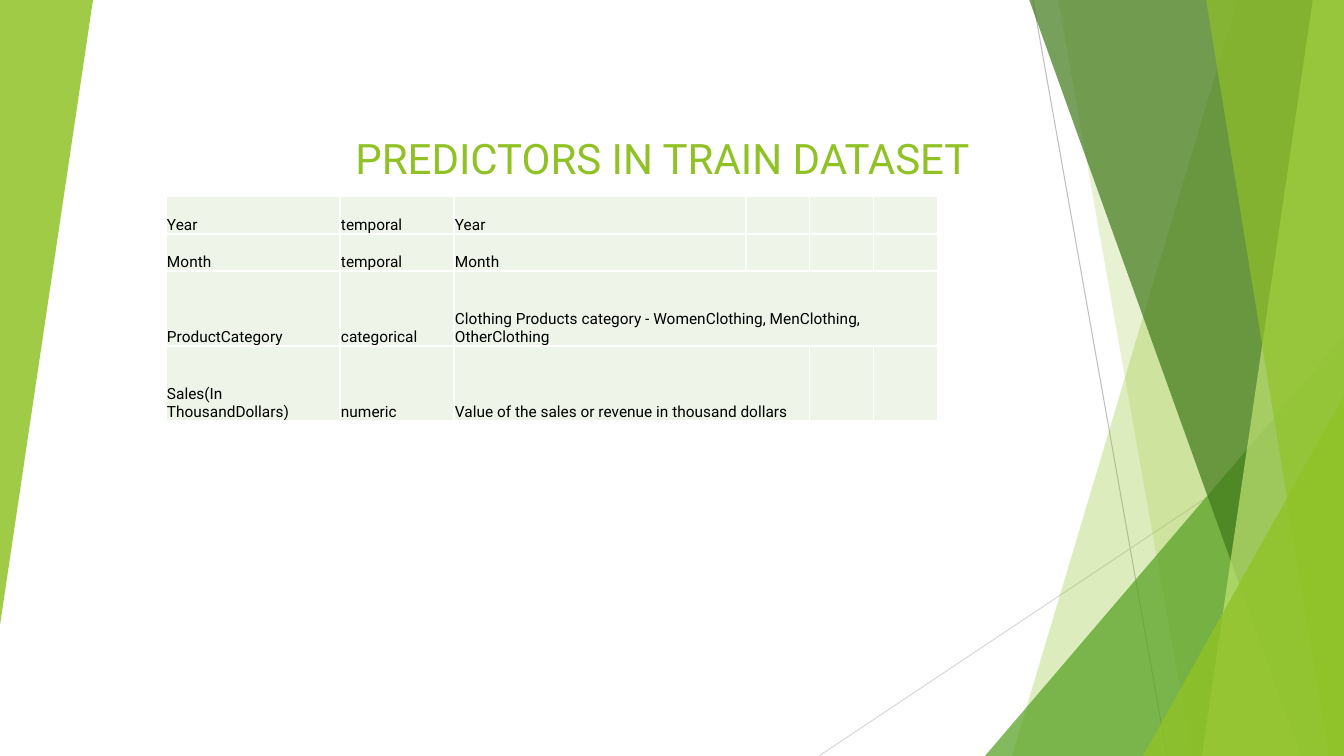
from pptx import Presentation
from pptx.dml.color import RGBColor
from pptx.enum.shapes import MSO_CONNECTOR, MSO_SHAPE
from pptx.enum.text import MSO_ANCHOR, PP_ALIGN
from pptx.oxml import parse_xml
from pptx.oxml.ns import nsdecls, qn
from pptx.oxml.xmlchemy import OxmlElement
from pptx.util import Emu, Pt

WIDTH, HEIGHT = 1344, 756
EMU_PER_PX = 914400 / 100.8

LIME = RGBColor(0x90, 0xC2, 0x26)
PALE_LIME = RGBColor(0xC0, 0xE4, 0x74)
GREEN = RGBColor(0x54, 0xA0, 0x21)
DARK_GREEN = RGBColor(0x3F, 0x78, 0x19)
GRAY = RGBColor(0xBF, 0xBF, 0xBF)
LIGHT_GRAY = RGBColor(0xD9, 0xD9, 0xD9)
CELL_FILL = RGBColor(0xEE, 0xF4, 0xE8)
BLACK = RGBColor(0, 0, 0)
WHITE = RGBColor(0xFF, 0xFF, 0xFF)

COLUMN_WIDTHS = [174, 114, 292, 64, 64, 64]
ROW_HEIGHTS = [38, 37, 75, 75]
PREDICTORS = [
    ("Year", "temporal", "Year"),
    ("Month", "temporal", "Month"),
    ("ProductCategory", "categorical",
     "Clothing Products category - WomenClothing, MenClothing, OtherClothing"),
    ("Sales(In ThousandDollars)", "numeric",
     "Value of the sales or revenue in thousand dollars"),
]
DESCRIPTION_SPANS = {2: 5, 3: 3}


def px(length):
    return Emu(round(length * EMU_PER_PX))


def apply_format(target, values):
    for name, value in values.items():
        setattr(target, name, value)


class SlideBuilder:
    font_name = "Roboto"
    cell_format = {
        "vertical_anchor": MSO_ANCHOR.BOTTOM,
        "margin_left": px(1),
        "margin_right": px(1),
        "margin_top": px(1),
        "margin_bottom": 0,
    }

    def __init__(self, slide):
        self.slide = slide
        self.shapes = slide.shapes

    def line(self, start, end, color):
        connector = self.shapes.add_connector(
            MSO_CONNECTOR.STRAIGHT, *map(px, start + end))
        connector.line.color.rgb = color
        connector.line.width = Pt(0.75)
        connector._element.spPr.append(OxmlElement("a:effectLst"))

    def paint(self, shape, color, opacity):
        shape.shadow.inherit = False
        shape.line.fill.background()
        shape.fill.solid()
        shape.fill.fore_color.rgb = color
        alpha = OxmlElement("a:alpha")
        alpha.set("val", str(opacity * 1000))
        shape._element.spPr.find(qn("a:solidFill"))[0].append(alpha)

    def band(self, top_left, bottom_left, color, opacity):
        builder = self.shapes.build_freeform(top_left, -1, scale=EMU_PER_PX)
        builder.add_line_segments(
            [(WIDTH, -1), (WIDTH, HEIGHT), (bottom_left, HEIGHT)], close=True)
        self.paint(builder.convert_to_shape(), color, opacity)

    def triangle(self, box, color, opacity, rotation=0):
        shape = self.shapes.add_shape(
            MSO_SHAPE.ISOSCELES_TRIANGLE, *map(px, box))
        shape.adjustments[0] = 1
        shape.rotation = rotation
        self.paint(shape, color, opacity)

    def add_text(self, paragraph, text, size, color):
        run = paragraph.add_run()
        run.text = text
        apply_format(run.font, {"name": self.font_name, "size": Pt(size)})
        run.font.color.rgb = color

    def title(self, box, text):
        frame = self.shapes.add_textbox(*map(px, box)).text_frame
        apply_format(frame, {"word_wrap": True,
                             "vertical_anchor": MSO_ANCHOR.BOTTOM})
        paragraph = frame.paragraphs[0]
        paragraph.alignment = PP_ALIGN.RIGHT
        self.add_text(paragraph, text, 30, LIME)

    def style_cell(self, cell):
        apply_format(cell, self.cell_format)
        cell.fill.solid()
        cell.fill.fore_color.rgb = CELL_FILL
        properties = cell._tc.get_or_add_tcPr()
        for index, side in enumerate("LRTB"):
            properties.insert(index, parse_xml(
                f'<a:ln{side} {nsdecls("a")} w="12700"><a:solidFill>'
                f'<a:srgbClr val="{WHITE}"/></a:solidFill></a:ln{side}>'))

    def table(self, left, top, rows):
        box = left, top, sum(COLUMN_WIDTHS), sum(ROW_HEIGHTS)
        table = self.shapes.add_table(
            len(ROW_HEIGHTS), len(COLUMN_WIDTHS), *map(px, box)).table
        apply_format(table, {"first_row": False, "horz_banding": False})
        for column, width in zip(table.columns, COLUMN_WIDTHS):
            column.width = px(width)
        for row, height in zip(table.rows, ROW_HEIGHTS):
            row.height = px(height)
        for cell in table.iter_cells():
            self.style_cell(cell)
        for row_index, texts in enumerate(rows):
            for column_index, text in enumerate(texts):
                cell = table.cell(row_index, column_index)
                self.add_text(cell.text_frame.paragraphs[0], text, 11, BLACK)
        for row_index, last_column in DESCRIPTION_SPANS.items():
            table.cell(row_index, 2).merge(table.cell(row_index, last_column))


def main():
    presentation = Presentation()
    apply_format(presentation, {"slide_width": px(WIDTH),
                                "slide_height": px(HEIGHT)})
    slide = presentation.slides.add_slide(presentation.slide_layouts[6])
    builder = SlideBuilder(slide)

    builder.line((1033, 0), (1167, HEIGHT), GRAY)
    builder.line((WIDTH, 406), (819, HEIGHT), LIGHT_GRAY)
    builder.band(1238, 1012, LIME, 30)
    builder.band(1058, 1192, LIME, 20)
    builder.triangle((985, 336, 359, 420), GREEN, 72)
    builder.band(1029, 1301, DARK_GREEN, 70)
    builder.band(1313, 1202, PALE_LIME, 70)
    builder.band(1206, 1329, LIME, 65)
    builder.triangle((1143, 396, 201, 360), LIME, 80)
    builder.triangle((0, 0, 93, 625), LIME, 85, rotation=180)

    builder.title((124, 7, 856, 181), "PREDICTORS IN TRAIN DATASET")
    builder.table(166, 196, PREDICTORS)

    presentation.save("out.pptx")


if __name__ == "__main__":
    main()
